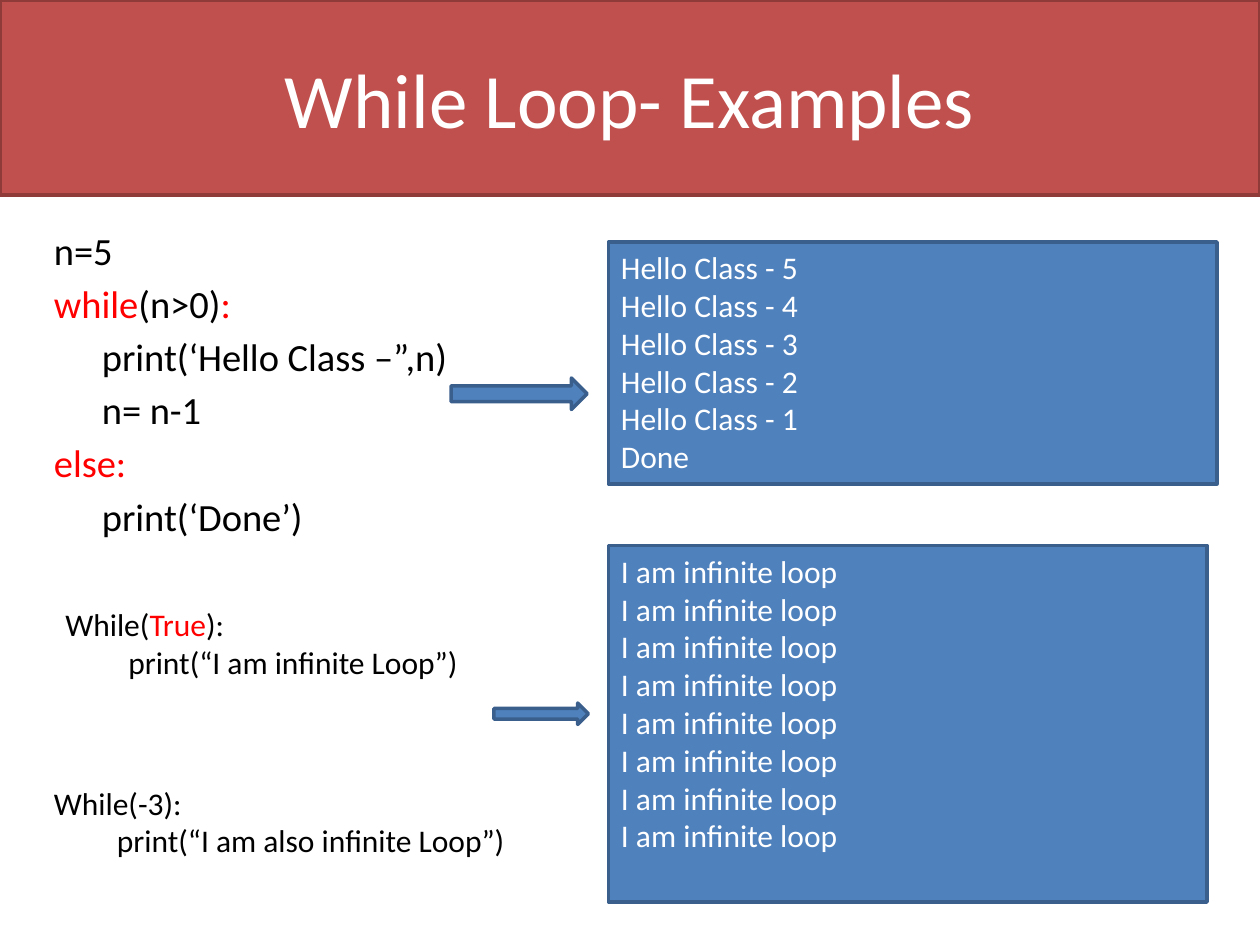
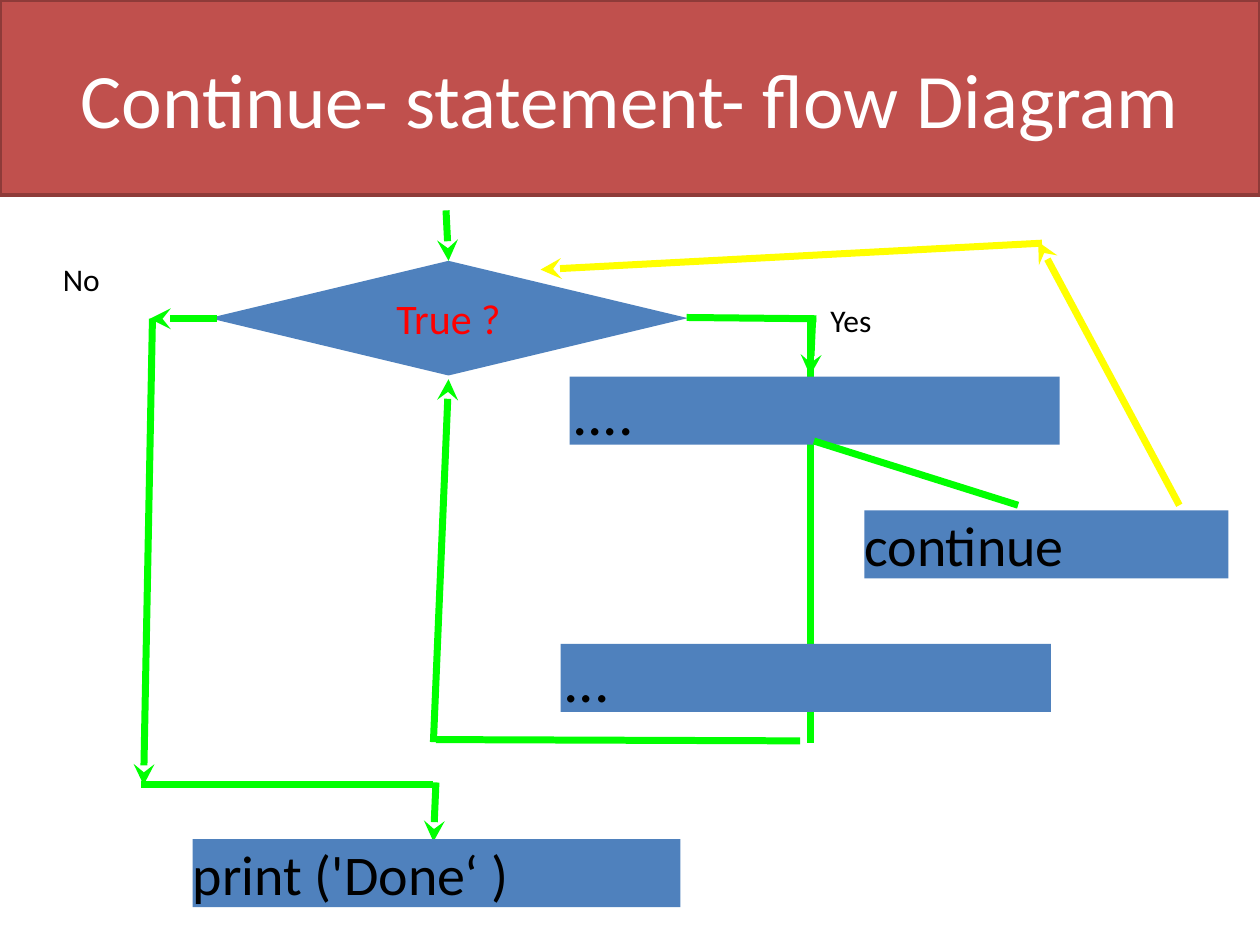
from dataclasses import dataclass

from lxml.etree import SubElement
from pptx import Presentation
from pptx.dml.color import RGBColor
from pptx.enum.shapes import MSO_CONNECTOR, MSO_SHAPE
from pptx.enum.text import MSO_ANCHOR, PP_ALIGN
from pptx.oxml.ns import qn
from pptx.util import Inches, Pt

FONT = "Calibri"
BLACK, WHITE, RED = "000000", "FFFFFF", "FF0000"
BLUE, NAVY = "4F81BD", "3A5F8C"
BRICK, RUST = "C0504D", "8E3B39"
GREEN, YELLOW = "00FF00", "FFFF00"
WIDE, TALL = 10, 7.5


@dataclass
class Box:
    """Place of a shape, in inches."""
    left: float
    top: float
    width: float
    height: float


@dataclass
class Style:
    """Look of a text; pads are left and top insets in inches."""
    size: float
    color: str = BLACK
    align: PP_ALIGN = PP_ALIGN.LEFT
    anchor: MSO_ANCHOR = MSO_ANCHOR.TOP
    pads: tuple = (0.1, 0.05)
    before: float = 0
    hang: float = 0


@dataclass
class Step:
    """A box of the flow chart with its label."""
    box: Box
    label: str
    style: Style


@dataclass
class Link:
    """A straight flow line; the arrowhead, if any, sits at the end."""
    start: tuple
    end: tuple
    arrow: bool = True
    color: str = GREEN


MIDDLE = MSO_ANCHOR.MIDDLE
TITLE = Style(44, WHITE, PP_ALIGN.CENTER, MIDDLE)
BODY = Style(22, before=4, hang=0.38)
CODE = Style(18)
OUTPUT = Style(18, WHITE)
TEST = Style(24, RED, PP_ALIGN.CENTER, MIDDLE, (0, 0))
NOTE = Style(18, anchor=MIDDLE, pads=(0, 0))
ACTION = Style(32, anchor=MIDDLE, pads=(0, 0))
DOTS = Style(35, anchor=MIDDLE, pads=(0.02, 0))


def paint(color: str) -> RGBColor:
    """Turn a hex string into a colour."""
    return RGBColor.from_string(color)


def place(box: Box) -> list:
    """Give the lengths of a box."""
    return [Inches(n) for n in (box.left, box.top, box.width, box.height)]


def write(shape, lines: list, style: Style) -> None:
    """Fill a shape with lines; parts between bars turn red."""
    frame = shape.text_frame
    frame.word_wrap = True
    frame.vertical_anchor = style.anchor
    side, edge = style.pads
    frame.margin_left = frame.margin_right = Inches(side)
    frame.margin_top = frame.margin_bottom = Inches(edge)
    for i, line in enumerate(lines):
        para = frame.paragraphs[0] if i == 0 else frame.add_paragraph()
        para.alignment = style.align
        para.space_before = Pt(style.before)
        if style.hang:
            props = para._p.get_or_add_pPr()
            props.set("marL", str(Inches(style.hang)))
            props.set("indent", str(-Inches(style.hang)))
        for j, part in enumerate(line.split("|")):
            if part:
                run = para.add_run()
                run.text = part
                run.font.name = FONT
                run.font.size = Pt(style.size)
                run.font.color.rgb = paint(RED if j % 2 else style.color)


def add_text(slide, box: Box, lines: list, style: Style) -> None:
    """Add a plain text box."""
    write(slide.shapes.add_textbox(*place(box)), lines, style)


def add_form(slide, kind: MSO_SHAPE, box: Box, fill: str = BLUE, edge: str = ""):
    """Add a filled shape, outlined when an edge colour is given."""
    shape = slide.shapes.add_shape(kind, *place(box))
    shape.shadow.inherit = False
    shape.fill.solid()
    shape.fill.fore_color.rgb = paint(fill)
    if edge:
        shape.line.color.rgb = paint(edge)
        shape.line.width = Pt(2)
    else:
        shape.line.fill.background()
    return shape


def add_link(slide, link: Link) -> None:
    """Draw one flow line."""
    ends = [Inches(n) for n in link.start + link.end]
    line = slide.shapes.add_connector(MSO_CONNECTOR.STRAIGHT, *ends)
    line.line.color.rgb = paint(link.color)
    line.line.width = Pt(4)
    if link.arrow:
        SubElement(line.line._get_or_add_ln(), qn("a:tailEnd"), type="stealth")
    SubElement(line._element.spPr, qn("a:effectLst"))


def add_step(slide, step: Step, kind: MSO_SHAPE = MSO_SHAPE.RECTANGLE) -> None:
    """Draw one step of the flow chart."""
    write(add_form(slide, kind, step.box), [step.label], step.style)


def add_page(deck, title: str):
    """Add a blank slide with the title band."""
    slide = deck.slides.add_slide(deck.slide_layouts[6])
    band = add_form(slide, MSO_SHAPE.RECTANGLE, Box(0, 0, WIDE, 1.55), BRICK, RUST)
    write(band, [title], TITLE)
    return slide


def add_loops(deck) -> None:
    """Build the slide of while loops and their output."""
    slide = add_page(deck, "While Loop- Examples")
    add_text(slide, Box(0.33, 1.75, 4.42, 2.83), [
        "n=5",
        "|while|(n>0)|:|",
        "\tprint(‘Hello Class –”,n)",
        "\tn= n-1",
        "|else:|",
        "\tprint(‘Done’)",
    ], BODY)
    add_text(slide, Box(0.42, 4.75, 4.17, 0.71),
             ["While(|True|):", "\tprint(“I am infinite Loop”)"], CODE)
    add_text(slide, Box(0.33, 6.17, 4.33, 0.71),
             ["While(-3):", "\tprint(“I am also infinite Loop”)"], CODE)
    hello = [f"Hello Class - {n}" for n in range(5, 0, -1)] + ["Done"]
    forever = ["I am infinite loop"] * 8
    for box, lines in ((Box(4.83, 1.92, 4.83, 1.92), hello),
                       (Box(4.83, 4.33, 4.75, 2.83), forever)):
        panel = add_form(slide, MSO_SHAPE.RECTANGLE, box, BLUE, NAVY)
        write(panel, lines, OUTPUT)
    for box in (Box(3.58, 3, 1.08, 0.25), Box(3.92, 5.58, 0.75, 0.17)):
        add_form(slide, MSO_SHAPE.RIGHT_ARROW, box, BLUE, NAVY)


def add_flow(deck) -> None:
    """Build the flow chart of the continue statement."""
    slide = add_page(deck, "Continue- statement- flow Diagram")
    test = Step(Box(1.66, 2.07, 3.8, 0.91), "True ?", TEST)
    add_step(slide, test, MSO_SHAPE.DIAMOND)
    links = [
        Link((3.54, 1.67), (3.56, 2.07)),
        Link((5.45, 2.52), (6.48, 2.53), False),
        Link((6.45, 2.52), (6.43, 2.98)),
        Link((6.43, 2.52), (6.43, 5.9), False),
        Link((6.35, 5.88), (3.46, 5.87), False),
        Link((3.44, 5.89), (3.56, 3.01)),
        Link((1.72, 2.53), (1.19, 2.53)),
        Link((1.21, 2.53), (1.14, 6.23)),
        Link((1.12, 6.23), (3.44, 6.23), False),
        Link((3.46, 6.21), (3.44, 6.68)),
        Link((9.36, 4.01), (8.24, 1.92), color=YELLOW),
        Link((8.27, 1.93), (4.29, 2.14), color=YELLOW),
    ]
    for link in links:
        add_link(slide, link)
    steps = [
        Step(Box(4.52, 2.99, 3.89, 0.54), "....", DOTS),
        Step(Box(4.45, 5.11, 3.89, 0.54), "...", DOTS),
        Step(Box(6.86, 4.05, 2.89, 0.54), "continue", ACTION),
        Step(Box(1.53, 6.66, 3.87, 0.54), "print ('Done‘ )", ACTION),
    ]
    for step in steps:
        add_step(slide, step)
    add_link(slide, Link((6.46, 3.5), (8.08, 4.01), False))
    add_text(slide, Box(0.5, 1.99, 0.96, 0.45), ["No"], NOTE)
    add_text(slide, Box(6.59, 2.31, 0.96, 0.45), ["Yes"], NOTE)


def main() -> None:
    """Build and save the deck."""
    deck = Presentation()
    deck.slide_width = Inches(WIDE)
    deck.slide_height = Inches(TALL)
    add_loops(deck)
    add_flow(deck)
    deck.save("out.pptx")


main()
